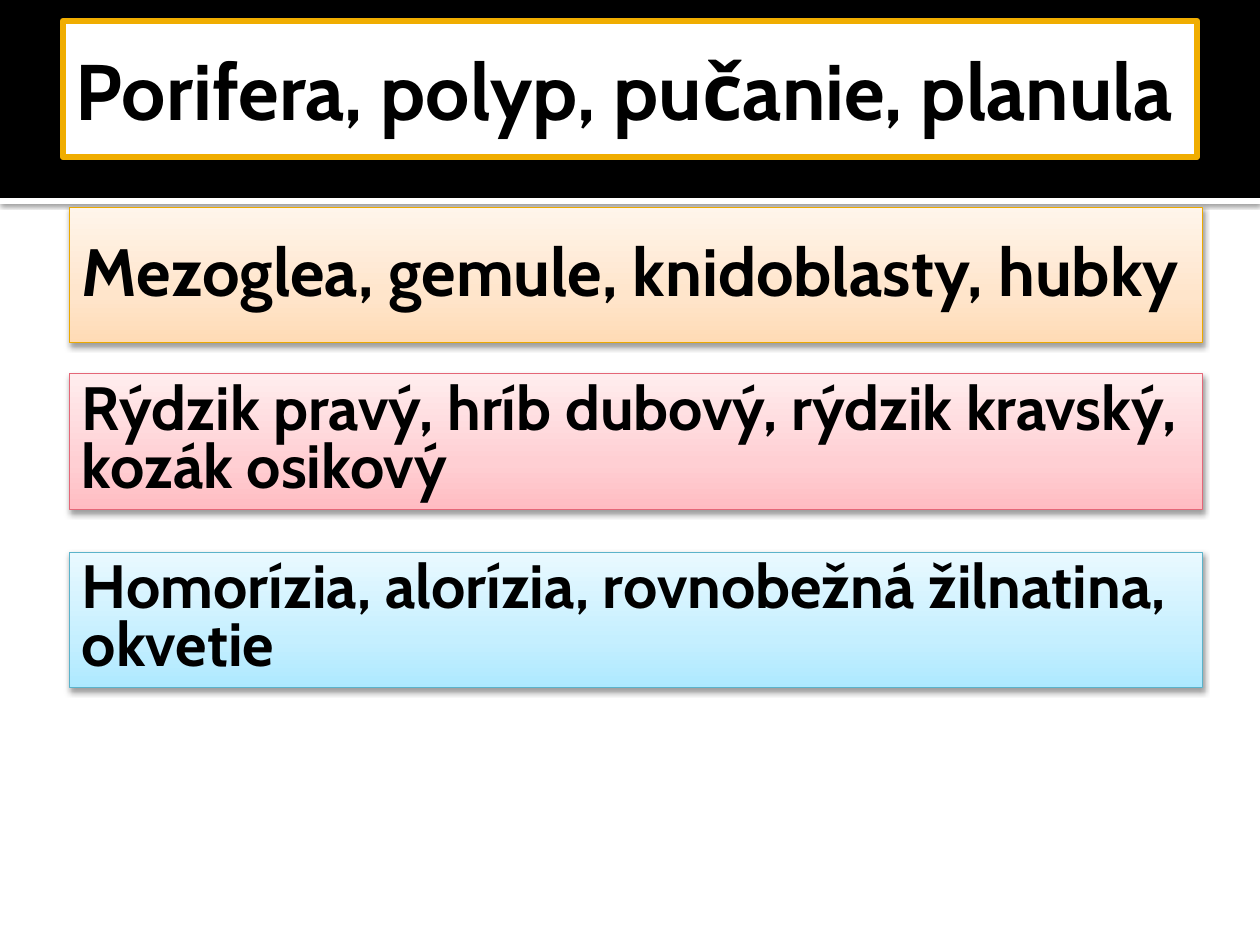
from pptx import Presentation, util as u
from pptx.dml import color
from pptx.enum import shapes, text
from pptx.oxml import parse_xml

NS = 'xmlns:a="http://schemas.openxmlformats.org/drawingml/2006/main"'
PX = 914400 / 126


def rgb(value):
    return color.RGBColor.from_string(value)


def add_box(box, fill, line=None, width=0, shadow=None):
    sp = s.shapes.add_shape(shapes.MSO_SHAPE.RECTANGLE, *[round(v * PX) for v in box])
    sp.shadow.inherit = False
    if isinstance(fill, str):
        sp.fill.solid()
        sp.fill.fore_color.rgb = rgb(fill)
    else:
        stops = "".join(
            f'<a:gs pos="{pos}"><a:srgbClr val="{value}"/></a:gs>'
            for pos, value in zip((0, 35000, 100000), fill))
        sp._element.spPr.insert(2, parse_xml(
            f'<a:gradFill {NS} rotWithShape="1"><a:gsLst>{stops}</a:gsLst>'
            '<a:lin ang="16200000" scaled="1"/></a:gradFill>'))
    if line:
        sp.line.color.rgb = rgb(line)
        sp.line.width = u.Pt(width)
    else:
        sp.line.fill.background()
    if shadow:
        alpha, blur, dist = shadow
        effects = sp._element.spPr.find(
            "{http://schemas.openxmlformats.org/drawingml/2006/main}effectLst")
        effects.append(parse_xml(
            f'<a:outerShdw {NS} blurRad="{u.Pt(blur)}" dist="{u.Pt(dist)}" dir="5400000" '
            f'rotWithShape="0"><a:srgbClr val="000000"><a:alpha val="{alpha * 1000}"/>'
            '</a:srgbClr></a:outerShdw>'))
    return sp


prs = Presentation()
prs.slide_width = u.Inches(10)
prs.slide_height = u.Inches(7.5)
s = prs.slides.add_slide(prs.slide_layouts[6])

add_box((0, 198, 1260, 6), "FFFFFF", shadow=(60, 2.5, 0.8))
add_box((0, 0, 1260, 198), "000000")

soft = (38, 3.5, 2)
rows = [
    (63, 21, "FFFFFF", "F0AD00", 3.78, None, 45, 1,
     "Porifera, polyp, pučanie, planula"),
    (69, 207, ("FFDBB5", "FFE5CB", "FFF5EB"), "EBA900", 0.5, soft, 38.2, 0.9,
     "Mezoglea, gemule, knidoblasty, hubky"),
    (69, 374, ("FFBCC2", "FFCFD3", "FFEDEE"), "E46778", 0.5, soft, 34.9, 0.8,
     "Rýdzik pravý, hríb dubový, rýdzik kravský, kozák osikový"),
    (69, 552, ("ADE9FF", "C5EFFF", "E9F9FF"), "5BB3CA", 0.5, soft, 34.9, 0.8,
     "Homorízia, alorízia, rovnobežná žilnatina, okvetie"),
]
for left, top, fill, line, width, shadow, size, spacing, words in rows:
    sp = add_box((left, top, 1134, 136), fill, line, width, shadow)
    tf = sp.text_frame
    tf.word_wrap = True
    tf.vertical_anchor = text.MSO_ANCHOR.MIDDLE
    tf.margin_left = round(13 * PX)
    tf.margin_right = tf.margin_top = tf.margin_bottom = round(6 * PX)
    p = tf.paragraphs[0]
    p.alignment = text.PP_ALIGN.LEFT
    p.line_spacing = float(spacing)
    r = p.add_run()
    r.text = words
    r.font.name = "Cabin"
    r.font.size = u.Pt(size)
    r.font.bold = True
    r.font.color.rgb = rgb("000000")

prs.save("out.pptx")
